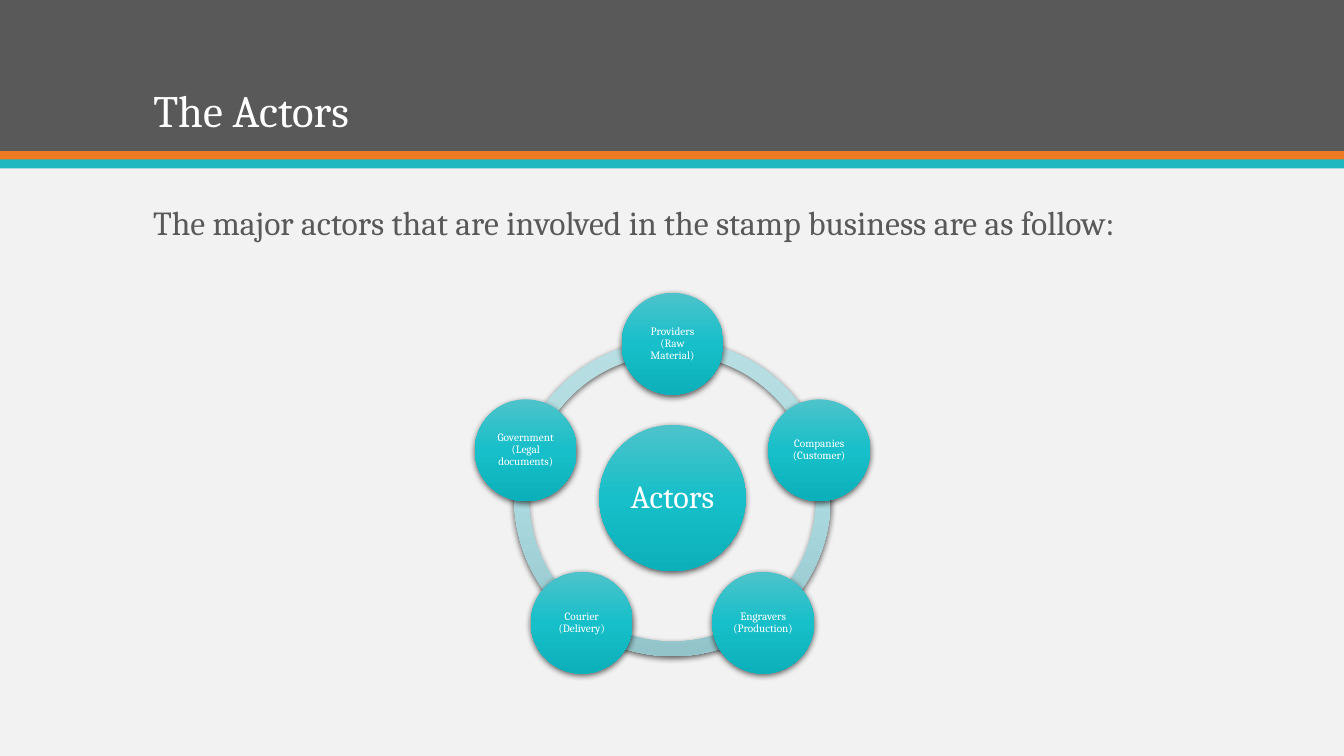
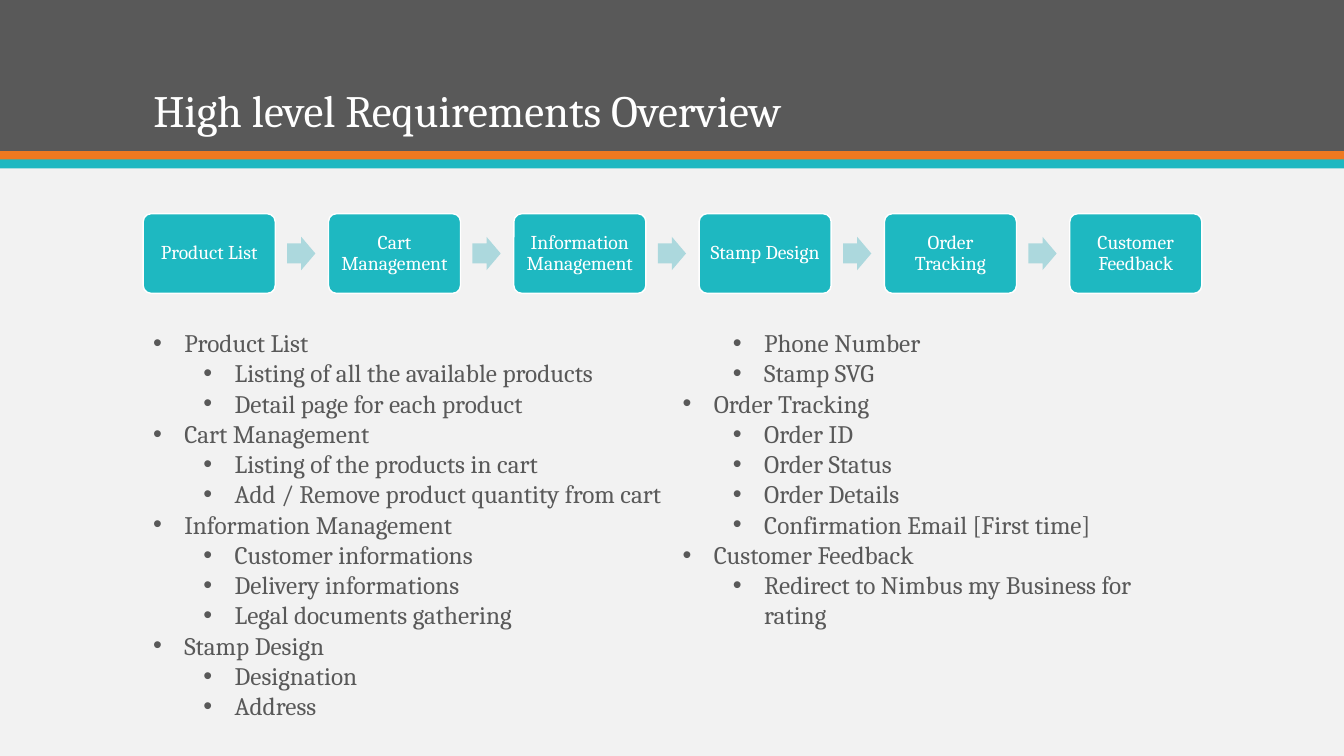
import copy
import math

from pptx import Presentation
from pptx import util as u
from pptx.dml import color
from pptx.enum import shapes, text
from pptx.oxml import ns, parse_xml

# Shared style
FONT = "Cambria"
WHITE, PALE, GREY = "FFFFFF", "F2F2F2", "595959"
ORANGE, TEAL, LIGHT_TEAL = "EF7920", "1EB8C1", "ACD8DD"
DISC_STOPS = ((0, "4EC3CB"), (0.5, "16BFC9"), (1, "0CB0BA"))
RING_STOPS = ((0, "B7DEE2"), (0.5, "AADADF"), (1, "93C4C9"))
LEFT, WIDTH = 1.42, 10.5
PRESET = shapes.MSO_SHAPE

# Slide content
ACTORS = ["Providers (Raw Material)", "Companies (Customer)",
          "Engravers (Production)", "Courier (Delivery)",
          "Government (Legal documents)"]
REQUIREMENTS = {
    "Product List": ["Listing of all the available products",
                     "Detail page for each product"],
    "Cart Management": ["Listing of the products in cart",
                        "Add / Remove product quantity from cart"],
    "Information Management": ["Customer informations",
                               "Delivery informations",
                               "Legal documents gathering"],
    "Stamp Design": ["Designation", "Address", "Phone Number", "Stamp SVG"],
    "Order Tracking": ["Order ID", "Order Status", "Order Details",
                       "Confirmation Email [First time]"],
    "Customer Feedback": ["Redirect to Nimbus my Business for rating"],
}


def rgb(hex_code):
    return color.RGBColor.from_string(hex_code)


def box(x, y, w, h):
    return [u.Inches(v) for v in (x, y, w, h)]


# Text
def add_run(p, content, size, hex_code):
    r = p.add_run()
    r.text = content
    r.font.name, r.font.size = FONT, u.Pt(size)
    r.font.color.rgb = rgb(hex_code)


def add_label(sp, content, size, inset):
    tf = sp.text_frame
    tf.word_wrap = True
    tf.vertical_anchor = text.MSO_ANCHOR.MIDDLE
    tf.margin_left = tf.margin_right = u.Inches(inset)
    tf.margin_top = tf.margin_bottom = u.Inches(inset)
    p = tf.paragraphs[0]
    p.alignment = text.PP_ALIGN.CENTER
    p.line_spacing = 0.9
    add_run(p, content, size, WHITE)


def add_text_box(s, x, y, w, h):
    tf = s.shapes.add_textbox(*box(x, y, w, h)).text_frame
    tf.word_wrap = True
    return tf


def add_bullet(p, content, level):
    p.level = level
    pPr = p._p.get_or_add_pPr()
    pPr.set("marL", str(u.Inches(0.31 + 0.5 * level)))
    pPr.set("indent", str(u.Inches(-0.31)))
    pPr.append(parse_xml(f'<a:buFont {ns.nsdecls("a")} typeface="Arial"/>'))
    pPr.append(parse_xml(f'<a:buChar {ns.nsdecls("a")} char="•"/>'))
    add_run(p, content, 18, GREY)


# Shapes
def add_shape(s, preset, x, y, w, h, fill=None, line=None, adjust=()):
    sp = s.shapes.add_shape(preset, *box(x, y, w, h))
    sp.shadow.inherit = False
    for i, value in enumerate(adjust):
        sp.adjustments[i] = value
    if fill:
        sp.fill.solid()
        sp.fill.fore_color.rgb = rgb(fill)
    if line:
        sp.line.color.rgb = rgb(line)
        sp.line.width = u.Pt(1)
    else:
        sp.line.fill.background()
    return sp


def add_raised_shape(s, preset, cx, cy, size, stops, adjust=()):
    """Add a centred shape with a downward gradient and a soft shadow."""
    sp = add_shape(s, preset, cx - size / 2, cy - size / 2, size, size,
                   adjust=adjust)
    sp.fill.gradient()
    sp.fill.gradient_angle = 270
    spPr = sp._element.spPr
    stop_list = spPr.find(ns.qn("a:gradFill")).find(ns.qn("a:gsLst"))
    stop_list.append(copy.deepcopy(stop_list[0]))
    for stop, (position, hex_code) in zip(sp.fill.gradient_stops, stops):
        stop.position = position
        stop.color.rgb = rgb(hex_code)
    spPr.find(ns.qn("a:effectLst")).append(parse_xml(
        f'<a:outerShdw {ns.nsdecls("a")} blurRad="{u.Pt(4.5)}" '
        f'dist="{u.Pt(1.5)}" dir="5400000" algn="ctr" rotWithShape="0">'
        '<a:srgbClr val="000000"><a:alpha val="63000"/></a:srgbClr>'
        '</a:outerShdw>'))
    return sp


# Layout and titles
def style_layout(layout, s):
    """Give the layout its background and bands, drawn first on slide s."""
    layout.background.fill.solid()
    layout.background.fill.fore_color.rgb = rgb(PALE)
    for ph in list(layout.placeholders):
        if ph.placeholder_format.idx:
            ph._element.getparent().remove(ph._element)
    bands = ((0, 1.5, GREY), (1.5, 0.09, ORANGE), (1.58, 0.09, TEAL))
    for i, (y, h, fill) in enumerate(bands):
        band = add_shape(s, PRESET.RECTANGLE, 0, y, 13.33, h, fill)
        layout.shapes._spTree.insert(2 + i, band._element)


def add_title(s, content):
    sp = s.shapes.title
    sp.left, sp.top, sp.width, sp.height = box(LEFT, 0.28, WIDTH, 1.13)
    tf = sp.text_frame
    tf.vertical_anchor = text.MSO_ANCHOR.BOTTOM
    p = tf.paragraphs[0]
    p.alignment = text.PP_ALIGN.LEFT
    p.line_spacing = 0.9
    add_run(p, content, 32, WHITE)


# Diagrams
def add_actor_ring(s, cx, cy):
    step = 360 / len(ACTORS)
    angles = [(270 + step * i) % 360 for i in range(len(ACTORS))]
    for start in angles:
        # Adjustments count in 100000ths, angles in 60000ths of a degree
        ends = [start * 0.6, (start + step) % 360 * 0.6]
        add_raised_shape(s, PRESET.BLOCK_ARC, cx, cy, 3.14, RING_STOPS,
                         ends + [0.046])
    hub = add_raised_shape(s, PRESET.OVAL, cx, cy, 1.45, DISC_STOPS)
    add_label(hub, "Actors", 23, 0.03)
    for angle, actor in zip(angles, ACTORS):
        a = math.radians(angle)
        disc = add_raised_shape(s, PRESET.OVAL, cx + 1.53 * math.cos(a),
                                cy + 1.53 * math.sin(a), 1.01, DISC_STOPS)
        add_label(disc, actor, 8, 0.01)


def add_process(s, steps):
    w, h, y = 1.31, 0.79, 2.12
    pitch = (WIDTH - w) / (len(steps) - 1)
    for i, step in enumerate(steps):
        x = LEFT + pitch * i
        if i:
            add_shape(s, PRESET.RIGHT_ARROW, x - 0.41, 2.35, 0.28, 0.33,
                      LIGHT_TEAL, adjust=(0.6, 0.5))
        sp = add_shape(s, PRESET.ROUNDED_RECTANGLE, x, y, w, h, TEAL, WHITE,
                       adjust=(0.1,))
        add_label(sp, step, 14, 0.06)


def add_requirement_list(s):
    tf = add_text_box(s, LEFT, 3.2, WIDTH, 4.05)
    bodyPr = tf._txBody.bodyPr
    bodyPr.set("numCol", "2")
    bodyPr.set("spcCol", str(u.Inches(0.2)))
    p = tf.paragraphs[0]
    for topic, details in REQUIREMENTS.items():
        for content in [topic] + details:
            if p.runs:
                p = tf.add_paragraph()
            add_bullet(p, content, int(content != topic))


# Slides
def build_actors(s):
    add_title(s, "The Actors")
    p = add_text_box(s, LEFT, 2, WIDTH, 0.9).paragraphs[0]
    p.line_spacing = 0.9
    add_run(p, "The major actors that are involved in the stamp business "
               "are as follow:", 24, GREY)
    add_actor_ring(s, 6.67, 4.94)


def build_requirements(s):
    add_title(s, "High level Requirements Overview")
    add_process(s, list(REQUIREMENTS))
    add_requirement_list(s)


def main():
    prs = Presentation()
    prs.slide_width, prs.slide_height = u.Inches(13.33), u.Inches(7.5)
    layout = prs.slide_layouts[5]
    actors, requirements = [prs.slides.add_slide(layout) for _ in range(2)]
    style_layout(layout, actors)
    build_actors(actors)
    build_requirements(requirements)
    prs.save("out.pptx")


if __name__ == "__main__":
    main()
